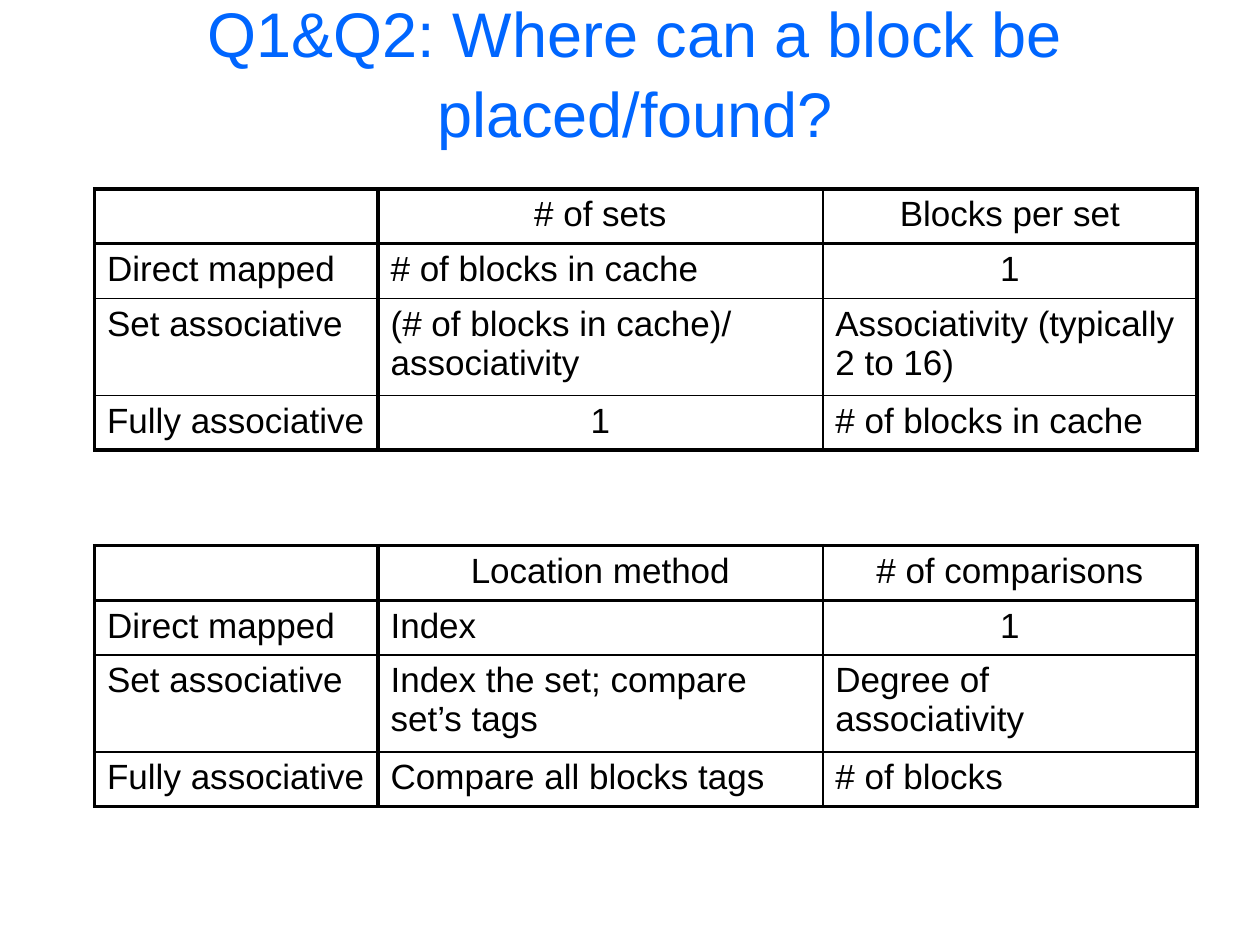
from lxml import etree
from pptx import Presentation
from pptx.dml.color import RGBColor
from pptx.enum.text import MSO_ANCHOR, PP_ALIGN as Align
from pptx.oxml.ns import qn
from pptx.util import Inches, Pt

# Content
HEADING = "Q1&Q2: Where can a block be placed/found?"
PLACEMENT = [
    ("", "# of sets", "Blocks per set"),
    ("Direct mapped", "# of blocks in cache", "1"),
    ("Set associative", "(# of blocks in cache)/ associativity",
     "Associativity (typically 2 to 16)"),
    ("Fully associative", "1", "# of blocks in cache"),
]
LOOKUP = [
    ("", "Location method", "# of comparisons"),
    ("Direct mapped", "Index", "1"),
    ("Set associative", "Index the set; compare set’s tags",
     "Degree of associativity"),
    ("Fully associative", "Compare all blocks tags", "# of blocks"),
]
GRIDS = [(1.5, PLACEMENT), (4.33, LOOKUP)]

# Format
LEFT = 0.75
COL_WIDTHS = [2.25, 3.53, 2.97]
ROW_HEIGHTS = [0.43, 0.43, 0.77, 0.43]
THICK, THIN = 2.25, 1
COL_RULES = [THICK, THICK, THIN, THICK]
ROW_RULES = [THICK, THICK, THIN, THIN, THICK]
BLUE, BLACK = "0066FF", "000000"
MARGINS = {"margin_left": Inches(0.1), "margin_right": Inches(0.1),
           "margin_top": Inches(0.05), "margin_bottom": Inches(0.05)}


def color(value):
    return RGBColor.from_string(value)


def apply(target, values):
    for name, value in values.items():
        setattr(target, name, value)


def write(frame, text, size, ink, align):
    paragraph = frame.paragraphs[0]
    paragraph.alignment = align
    run = paragraph.add_run()
    run.text = text
    apply(run.font, {"name": "Arial", "size": Pt(size)})
    run.font.color.rgb = color(ink)
    return paragraph


def add_borders(cell, widths):
    props = cell._tc.get_or_add_tcPr()
    for index, (side, width) in enumerate(widths.items()):
        line = etree.Element(qn(f"a:{side}"), w=str(Pt(width)))
        fill = etree.SubElement(line, qn("a:solidFill"))
        etree.SubElement(fill, qn("a:srgbClr"), val=BLACK)
        props.insert(index, line)


def add_grid(slide, top, rows):
    table = slide.shapes.add_table(
        len(rows), len(COL_WIDTHS), Inches(LEFT), Inches(top),
        Inches(sum(COL_WIDTHS)), Inches(sum(ROW_HEIGHTS))).table
    apply(table, {"first_row": False, "horz_banding": False})
    for column, width in zip(table.columns, COL_WIDTHS):
        column.width = Inches(width)
    for r, (row, height) in enumerate(zip(rows, ROW_HEIGHTS)):
        table.rows[r].height = Inches(height)
        for c, text in enumerate(row):
            cell = table.cell(r, c)
            apply(cell, MARGINS)
            cell.fill.background()
            if text:
                centred = r == 0 or text == "1"
                write(cell.text_frame, text, 20, BLACK,
                      Align.CENTER if centred else Align.LEFT)
            add_borders(cell, {"lnL": COL_RULES[c], "lnR": COL_RULES[c + 1],
                               "lnT": ROW_RULES[r], "lnB": ROW_RULES[r + 1]})


deck = Presentation()
apply(deck, {"slide_width": Inches(10), "slide_height": Inches(7.5)})
slide = deck.slides.add_slide(deck.slide_layouts[6])

# Heading
heading = slide.shapes.add_textbox(
    Inches(0.58), Inches(0.33), Inches(8.92), Inches(0.46)).text_frame
apply(heading, {"word_wrap": True, "vertical_anchor": MSO_ANCHOR.MIDDLE})
write(heading, HEADING, 36, BLUE, Align.CENTER).line_spacing = 1.05

# Tables
for top, rows in GRIDS:
    add_grid(slide, top, rows)

deck.save("out.pptx")
